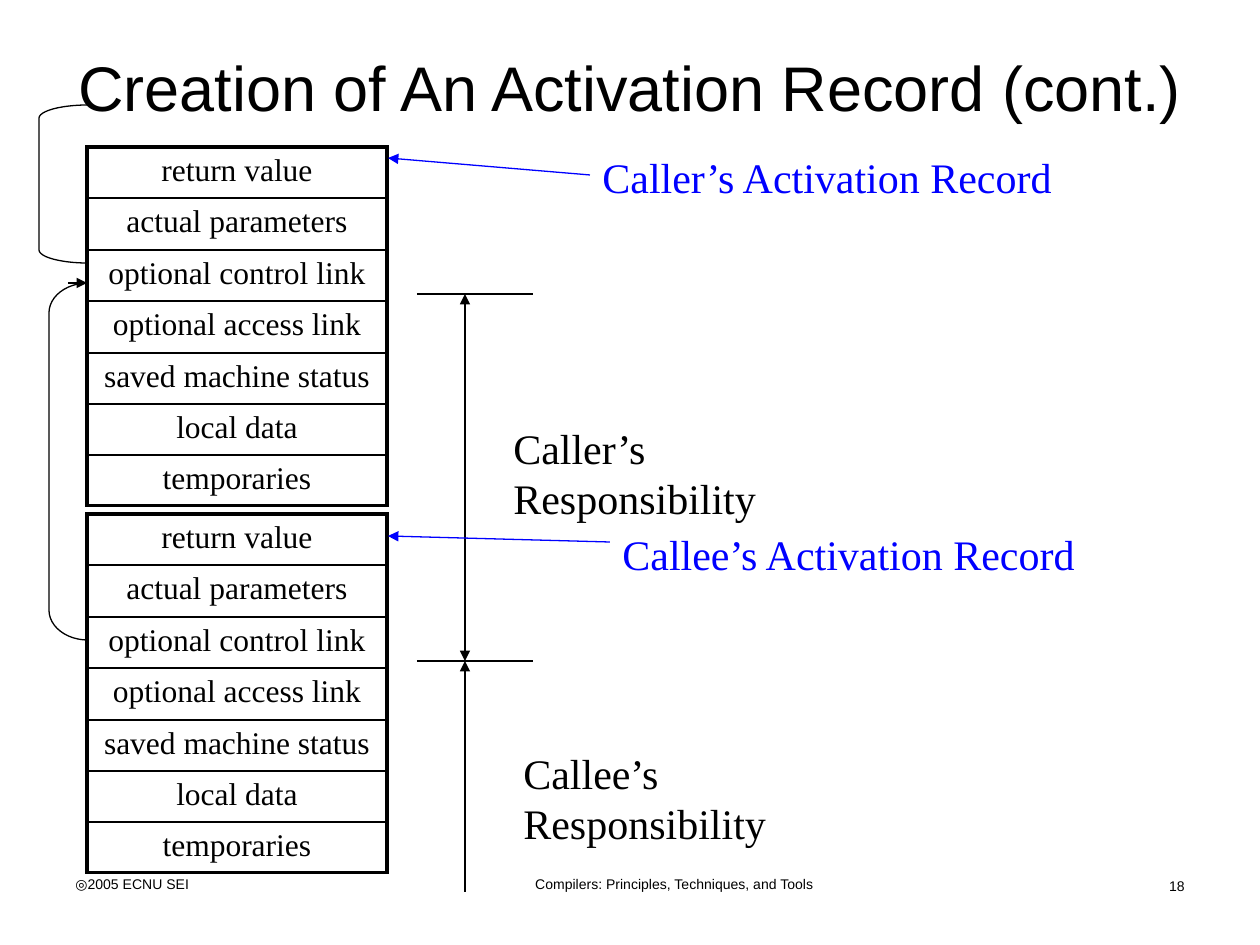
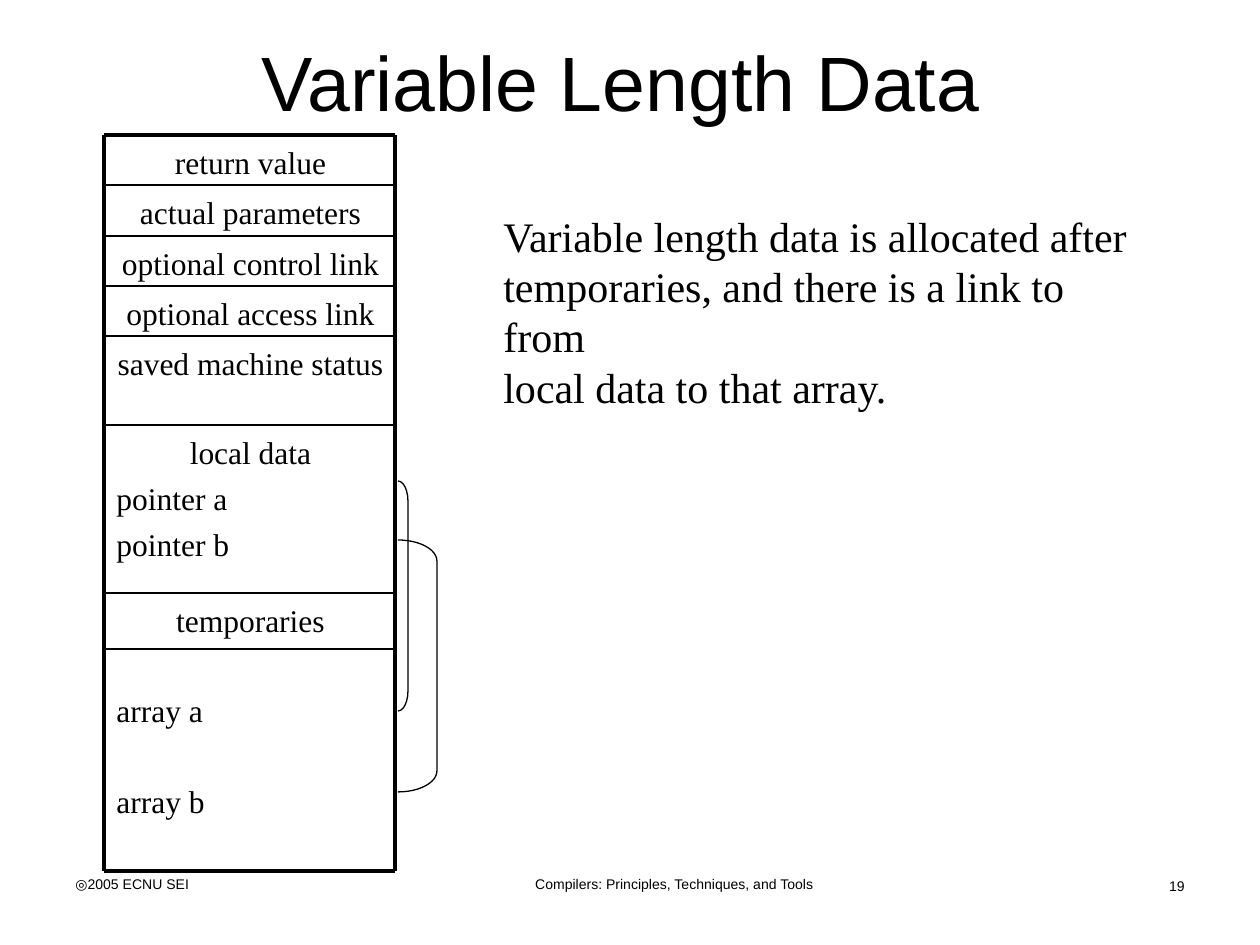
from dataclasses import dataclass
from itertools import pairwise

from lxml.etree import SubElement
from pptx import Presentation
from pptx.dml.color import RGBColor
from pptx.enum.shapes import MSO_CONNECTOR, MSO_SHAPE
from pptx.enum.text import MSO_ANCHOR, PP_ALIGN
from pptx.oxml import parse_xml
from pptx.oxml.ns import nsdecls, qn
from pptx.util import Emu, Pt

SCALE = 914400 / 126


def px(length):
    return Emu(round(length * SCALE))


@dataclass(frozen=True)
class Theme:
    ink: str = "000000"
    accent: str = "0000FF"
    heading_font: str = "Arial"
    body_font: str = "Times New Roman"
    title: int = 44
    long_title: int = 36
    body: int = 24
    field: int = 18
    footer: int = 8
    hairline: float = 0.75
    thin: float = 1
    thick: float = 2.25
    field_gap: float = 4.5
    array_gap: float = 30


class Deck:
    def __init__(self, theme):
        self.theme = theme
        self.deck = Presentation()
        self.deck.slide_width = px(1260)
        self.deck.slide_height = px(945)
        self.page = None

    def add_page(self, number, title, area, size):
        self.page = self.deck.slides.add_slide(self.deck.slide_layouts[6])
        theme = self.theme
        footer = {"size": theme.footer, "font": theme.heading_font}
        self.text((63, 869, 294, 39), ["◎2005 ECNU SEI"], **footer)
        self.text((412, 869, 525, 35), ["Compilers: Principles, Techniques, and Tools"],
                  align=PP_ALIGN.CENTER, **footer)
        self.text((1027, 871, 170, 29), [str(number)], align=PP_ALIGN.RIGHT, **footer)
        self.text(area, [title], size=size, font=theme.heading_font,
                  align=PP_ALIGN.CENTER, anchor=MSO_ANCHOR.MIDDLE)

    def add_span(self, para, words, size, font=None, color=None, align=PP_ALIGN.LEFT):
        para.alignment = align
        span = para.add_run()
        span.text = words
        span.font.size = Pt(size)
        span.font.name = font or self.theme.body_font
        span.font.color.rgb = RGBColor.from_string(color or self.theme.ink)

    def text(self, area, lines, anchor=MSO_ANCHOR.TOP, **style):
        box = self.page.shapes.add_textbox(*map(px, area))
        frame = box.text_frame
        frame.word_wrap = True
        frame.vertical_anchor = anchor
        for index, words in enumerate(lines):
            para = frame.paragraphs[0] if index == 0 else frame.add_paragraph()
            self.add_span(para, words, **style)
        return frame

    def body(self, area, *lines, color=None):
        self.text(area, lines, size=self.theme.body, color=color)

    def field(self, area, name, entries=(), gap=0):
        frame = self.text(area, [name, *entries], size=self.theme.field)
        frame.paragraphs[0].alignment = PP_ALIGN.CENTER
        for para in frame.paragraphs[1:]:
            para.space_before = Pt(gap)

    def line(self, start, end, width=None, color=None, head=False, tail=False):
        line = self.page.shapes.add_connector(
            MSO_CONNECTOR.STRAIGHT, *map(px, (*start, *end)))
        line.line.color.rgb = RGBColor.from_string(color or self.theme.ink)
        line.line.width = Pt(width or self.theme.hairline)
        outline = line._element.spPr.find(qn("a:ln"))
        for tag, shown in (("a:headEnd", head), ("a:tailEnd", tail)):
            if shown:
                SubElement(outline, qn(tag), type="triangle")
        SubElement(line._element.spPr, qn("a:effectLst"))

    def bracket(self, kind, area, curve):
        bracket = self.page.shapes.add_shape(kind, *map(px, area))
        bracket.shadow.inherit = False
        bracket.adjustments[0] = curve
        bracket.fill.background()
        bracket.line.color.rgb = RGBColor.from_string(self.theme.ink)
        bracket.line.width = Pt(self.theme.hairline)

    def border(self, cell, top, bottom):
        thick = self.theme.thick
        sides = {"L": thick, "R": thick, "T": top, "B": bottom}
        properties = cell._tc.get_or_add_tcPr()
        for index, (side, width) in enumerate(sides.items()):
            properties.insert(index, parse_xml(
                f'<a:ln{side} {nsdecls("a")} w="{Pt(width)}"><a:solidFill>'
                f'<a:srgbClr val="{self.theme.ink}"/></a:solidFill></a:ln{side}>'))

    def record(self, left, top, fields):
        edges = [round(index * 51.4) for index in range(len(fields))] + [356]
        table = self.page.shapes.add_table(
            len(fields), 1, *map(px, (left, top, 300, edges[-1]))).table
        table.first_row = table.horz_banding = False
        last = len(fields) - 1
        for index, (name, (upper, lower)) in enumerate(zip(fields, pairwise(edges))):
            table.rows[index].height = px(lower - upper)
            cell = table.cell(index, 0)
            cell.fill.background()
            self.add_span(cell.text_frame.paragraphs[0], name, self.theme.field,
                          align=PP_ALIGN.CENTER)
            self.border(cell, self.theme.thick if index == 0 else self.theme.thin,
                        self.theme.thick if index == last else self.theme.thin)

    def save(self):
        self.deck.save("out.pptx")


FIELDS = ["return value", "actual parameters", "optional control link",
          "optional access link", "saved machine status", "local data", "temporaries"]


def activation_record_page(deck):
    theme = deck.theme
    deck.add_page(18, "Creation of An Activation Record (cont.)",
                  (63, 38, 1134, 97), theme.long_title)
    for top in (147, 514):
        deck.record(87, top, FIELDS)

    deck.bracket(MSO_SHAPE.LEFT_BRACKET, (49, 283, 39, 357), 0.77)
    deck.bracket(MSO_SHAPE.LEFT_BRACKET, (39, 105, 49, 158), 0.27)
    deck.line((68, 283), (87, 283), tail=True)

    caller_top, callee_top, span_x = 294, 661, 465
    deck.line((span_x, caller_top), (span_x, callee_top), head=True, tail=True)
    deck.line((span_x, 892), (span_x, callee_top), tail=True)
    for y in (caller_top, callee_top):
        deck.line((417, y), (533, y))

    deck.body((501, 416, 379, 113), "Caller’s Responsibility")
    deck.body((511, 741, 384, 113), "Callee’s Responsibility")
    deck.body((590, 145, 482, 63), "Caller’s Activation Record", color=theme.accent)
    deck.body((610, 522, 486, 63), "Callee’s Activation Record", color=theme.accent)
    for start, end in (((610, 542), (388, 536)), ((590, 175), (388, 158))):
        deck.line(start, end, color=theme.accent, tail=True)


def variable_length_page(deck):
    theme = deck.theme
    deck.add_page(19, "Variable Length Data", (54, 27, 1134, 107), theme.title)
    left, right = 104, 395
    edges = [135, 185, 236, 286, 336, 425, 593, 871]
    entries = {"local data": (["pointer a", "pointer b"], theme.field_gap),
               "temporaries": (["array a", "array b"], theme.array_gap)}
    for name, (top, bottom) in zip(FIELDS, pairwise(edges)):
        deck.field((left, top + 2, right - left + 2, bottom - top), name,
                   *entries.get(name, ()))

    for y in edges:
        outer = y in (edges[0], edges[-1])
        deck.line((left, y), (right, y), theme.thick if outer else theme.thin)
    for x in (left, right):
        deck.line((x, edges[0]), (x, edges[-1]), theme.thick)
    deck.line((left, 649), (right, 649))

    deck.bracket(MSO_SHAPE.RIGHT_BRACKET, (398, 481, 10, 230), 2)
    deck.bracket(MSO_SHAPE.RIGHT_BRACKET, (398, 540, 39, 252), 0.54)
    deck.body((491, 204, 668, 214),
              "Variable length data is allocated after",
              "temporaries, and there is a link to from",
              "local data to that array.")


def main():
    deck = Deck(Theme())
    activation_record_page(deck)
    variable_length_page(deck)
    deck.save()


if __name__ == "__main__":
    main()
